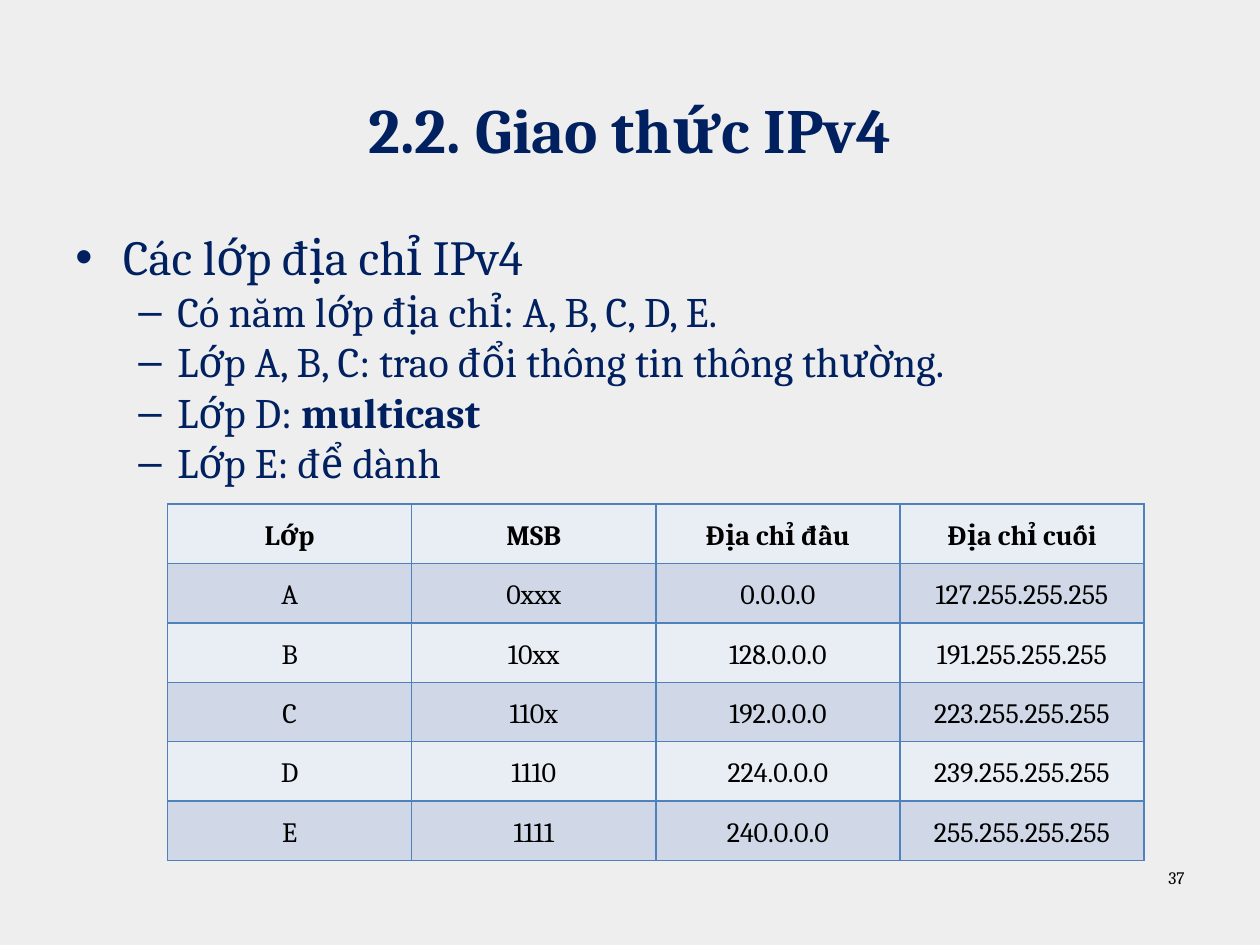
import pptx
import pptx.dml.color
import pptx.enum.text
import pptx.oxml
import pptx.oxml.ns
import pptx.util
from pptx.util import Inches

FONT = "Cambria"
NAVY, BLACK, BORDER = "002060", "000000", "4F81BD"
BAND_FILLS = ("E9EDF4", "D0D8E8")
ALIGN = pptx.enum.text.PP_ALIGN
ANCHOR = pptx.enum.text.MSO_ANCHOR

# Each bullet: level and its (wording, bold) pieces
BULLETS = [
    (0, [("Các lớp địa chỉ IPv4", False)]),
    (1, [("Có năm lớp địa chỉ: A, B, C, D, E.", False)]),
    (1, [("Lớp A, B, C: trao đổi thông tin thông thường.", False)]),
    (1, [("Lớp D: ", False), ("multicast", True)]),
    (1, [("Lớp E: để dành", False)]),
]
# Each level: bullet sign, size, left margin, hanging indent
LEVELS = [("•", 28, 0.38, 0.38), ("–", 24, 0.81, 0.31)]

ADDRESS_CLASSES = [
    ("Lớp", "MSB", "Địa chỉ đầu", "Địa chỉ cuối"),
    ("A", "0xxx", "0.0.0.0", "127.255.255.255"),
    ("B", "10xx", "128.0.0.0", "191.255.255.255"),
    ("C", "110x", "192.0.0.0", "223.255.255.255"),
    ("D", "1110", "224.0.0.0", "239.255.255.255"),
    ("E", "1111", "240.0.0.0", "255.255.255.255"),
]


def set_fill(fill, color):
    fill.solid()
    fill.fore_color.rgb = pptx.dml.color.RGBColor.from_string(color)


def style_run(run, size, color, bold=False):
    run.font.name = FONT
    run.font.size = pptx.util.Pt(size)
    run.font.bold = bold
    set_fill(run.font.fill, color)


def add_frame(slide, left, top, width, height):
    box = slide.shapes.add_textbox(Inches(left), Inches(top), Inches(width), Inches(height))
    box.text_frame.word_wrap = True
    return box.text_frame


def add_line(slide, place, wording, size, color, align, anchor, bold=False):
    frame = add_frame(slide, *place)
    frame.text = wording
    frame.vertical_anchor = anchor
    frame.paragraphs[0].alignment = align
    style_run(frame.paragraphs[0].runs[0], size, color, bold)


def set_bullet(paragraph, sign, margin, hanging):
    properties = paragraph._p.get_or_add_pPr()
    properties.set("marL", str(Inches(margin)))
    properties.set("indent", str(-Inches(hanging)))
    namespace = pptx.oxml.ns.nsdecls("a")
    for xml in (f'<a:buFont {namespace} typeface="Arial"/>',
                f'<a:buChar {namespace} char="{sign}"/>'):
        properties.append(pptx.oxml.parse_xml(xml))


def add_bullets(slide):
    frame = add_frame(slide, 0.5, 1.75, 8.83, 4.95)
    for index, (level, pieces) in enumerate(BULLETS):
        paragraph = frame.add_paragraph() if index else frame.paragraphs[0]
        sign, size, margin, hanging = LEVELS[level]
        paragraph.level = level
        set_bullet(paragraph, sign, margin, hanging)
        for wording, bold in pieces:
            run = paragraph.add_run()
            run.text = wording
            style_run(run, size, NAVY, bold)


def set_borders(cell):
    properties = cell._tc.get_or_add_tcPr()
    for position, side in enumerate(("lnL", "lnR", "lnT", "lnB")):
        properties.insert(position, pptx.oxml.parse_xml(
            f'<a:{side} {pptx.oxml.ns.nsdecls("a")} w="{pptx.util.Pt(1)}"><a:solidFill>'
            f'<a:srgbClr val="{BORDER}"/></a:solidFill></a:{side}>'))


def fill_cell(cell, wording, color, bold):
    cell.text = wording
    cell.vertical_anchor = ANCHOR.MIDDLE
    cell.margin_left = cell.margin_right = cell.margin_top = cell.margin_bottom = 0
    paragraph = cell.text_frame.paragraphs[0]
    paragraph.alignment = ALIGN.CENTER
    paragraph.line_spacing = 1.15
    style_run(paragraph.runs[0], 16, BLACK, bold)
    set_fill(cell.fill, color)
    set_borders(cell)


def add_class_table(slide):
    table = slide.shapes.add_table(
        len(ADDRESS_CLASSES), len(ADDRESS_CLASSES[0]),
        Inches(1.33), Inches(4), Inches(7.75), Inches(2.83)).table
    for row, values in enumerate(ADDRESS_CLASSES):
        for column, value in enumerate(values):
            fill_cell(table.cell(row, column), value, BAND_FILLS[row % 2], row == 0)


def main():
    deck = pptx.Presentation()
    deck.slide_width, deck.slide_height = Inches(10), Inches(7.5)
    slide = deck.slides.add_slide(deck.slide_layouts[6])
    set_fill(slide.background.fill, "EEEEEE")

    # Bullets and title
    add_bullets(slide)
    add_line(slide, (0.5, 0.39, 9, 1.25), "2.2. Giao thức IPv4", 36, NAVY,
             ALIGN.CENTER, ANCHOR.MIDDLE, bold=True)

    # Address classes
    add_class_table(slide)

    # Page number
    add_line(slide, (7.17, 6.83, 2.33, 0.52), "37", 10, BLACK, ALIGN.RIGHT, ANCHOR.TOP)
    deck.save("out.pptx")


if __name__ == "__main__":
    main()
